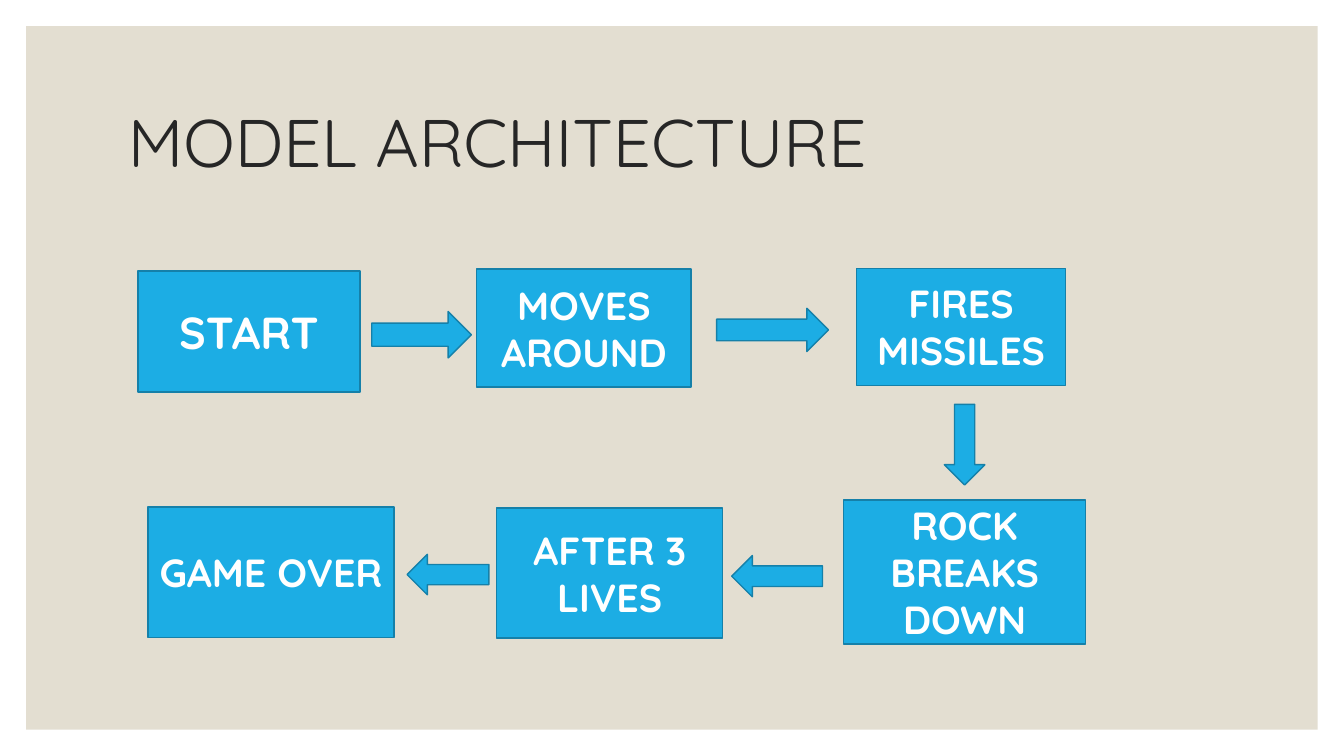
"""Build the game model architecture slide as a flow of six steps."""
import pptx
import pptx.dml.color
import pptx.enum.shapes
import pptx.enum.text
import pptx.util

Cm = pptx.util.Cm
RGBColor = pptx.dml.color.RGBColor
SHAPES = pptx.enum.shapes.MSO_SHAPE
ALIGN = pptx.enum.text.PP_ALIGN

TITLE = "MODEL ARCHITECTURE"
TITLE_FRAME = (2.97, 1.78, 27.94, 3.81)
SLIDE_SIZE = (33.87, 19.05)
PANEL_MARGIN = 0.66
STEPS = [
    ("START", 32, (3.48, 6.83, 5.59, 3.05)),
    ("MOVES AROUND", 28, (12.01, 6.78, 5.41, 2.97)),
    ("FIRES MISSILES", 28, (21.59, 6.76, 5.26, 2.95)),
    ("ROCK BREAKS DOWN", 28, (21.26, 12.6, 6.1, 3.63)),
    ("AFTER 3 LIVES", 28, (12.52, 12.8, 5.69, 3.28)),
    ("GAME OVER", 28, (3.73, 12.78, 6.2, 3.28)),
]
ARROWS = [
    (SHAPES.RIGHT_ARROW, (9.37, 7.85, 2.51, 1.17)),
    (SHAPES.RIGHT_ARROW, (18.06, 7.77, 2.82, 1.09)),
    (SHAPES.DOWN_ARROW, (23.8, 10.19, 1.02, 2.03)),
    (SHAPES.LEFT_ARROW, (18.44, 14, 2.29, 1.04)),
    (SHAPES.LEFT_ARROW, (10.26, 13.97, 2.06, 1.02)),
]

FONT = "Quicksand"
SAND = RGBColor(0xE3, 0xDE, 0xD1)
BLUE = RGBColor(0x1C, 0xAD, 0xE4)
DARK_BLUE = RGBColor(0x15, 0x80, 0xA9)
WHITE = RGBColor(0xFF, 0xFF, 0xFF)
CHARCOAL = RGBColor(0x26, 0x26, 0x26)


def add_block(page, kind, frame, fill, outline=None):
    """Add a flat filled shape, outlined if a colour is given."""
    block = page.shapes.add_shape(kind, *map(Cm, frame))
    block.shadow.inherit = False
    block.fill.solid()
    block.fill.fore_color.rgb = fill
    if outline is None:
        block.line.fill.background()
    else:
        block.line.color.rgb = outline
        block.line.width = pptx.util.Pt(1)
    return block


def write(shape, text, size, color, bold, align, spacing):
    """Write one formatted, vertically centred paragraph into a shape."""
    frame = shape.text_frame
    frame_format = {
        "text": text,
        "word_wrap": True,
        "auto_size": pptx.enum.text.MSO_AUTO_SIZE.NONE,
        "vertical_anchor": pptx.enum.text.MSO_ANCHOR.MIDDLE,
    }
    for name, value in frame_format.items():
        setattr(frame, name, value)
    para = frame.paragraphs[0]
    para.alignment = align
    para.line_spacing = spacing
    span = para.runs[0]
    span.font.color.rgb = color
    font_format = {"name": FONT, "size": pptx.util.Pt(size), "bold": bold}
    for name, value in font_format.items():
        setattr(span.font, name, value)


def main():
    """Create the deck and save it."""
    deck = pptx.Presentation()
    deck.slide_width, deck.slide_height = map(Cm, SLIDE_SIZE)
    page = deck.slides.add_slide(deck.slide_layouts[5])

    panel_size = [side - 2 * PANEL_MARGIN for side in SLIDE_SIZE]
    panel_frame = (PANEL_MARGIN, PANEL_MARGIN, *panel_size)
    panel = add_block(page, SHAPES.RECTANGLE, panel_frame, SAND)
    title = page.shapes.title
    title._element.addprevious(panel._element)
    for name, value in zip(("left", "top", "width", "height"), TITLE_FRAME):
        setattr(title, name, Cm(value))
    write(title, TITLE, 48, CHARCOAL, False, ALIGN.LEFT, 0.9)

    for text, size, frame in STEPS:
        box = add_block(page, SHAPES.RECTANGLE, frame, BLUE, DARK_BLUE)
        write(box, text, size, WHITE, True, ALIGN.CENTER, 1.0)
    for kind, frame in ARROWS:
        add_block(page, kind, frame, BLUE, DARK_BLUE)

    deck.save("out.pptx")


if __name__ == "__main__":
    main()
